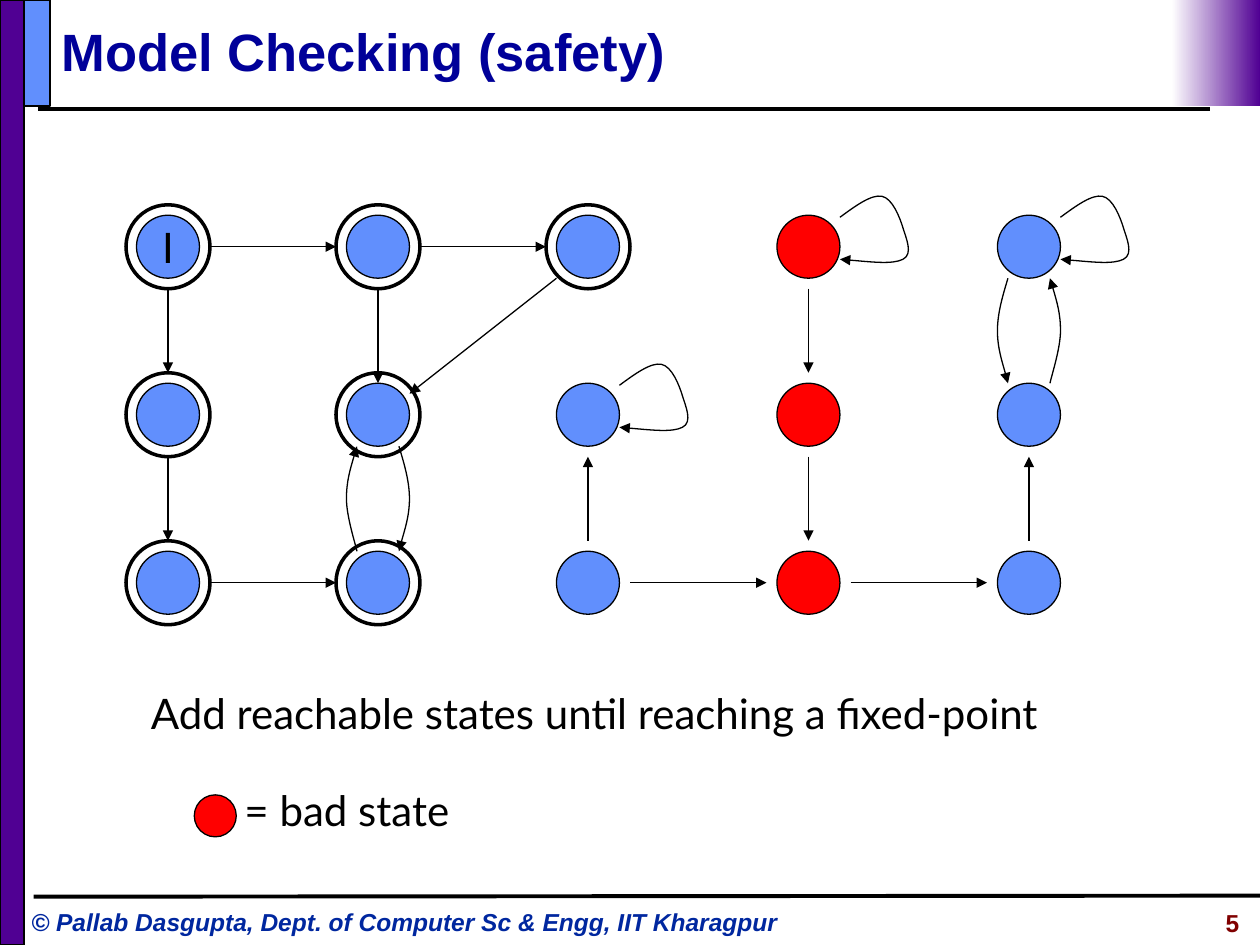
from lxml.etree import SubElement
from pptx import Presentation
from pptx.dml.color import RGBColor
from pptx.enum.shapes import MSO_CONNECTOR, MSO_SHAPE
from pptx.enum.text import MSO_ANCHOR, PP_ALIGN
from pptx.oxml.ns import qn
from pptx.util import Inches, Pt

BLACK = RGBColor(0x00, 0x00, 0x00)
WHITE = RGBColor(0xFF, 0xFF, 0xFF)
PURPLE = RGBColor(0x50, 0x00, 0x93)
BLUE = RGBColor(0x61, 0x8F, 0xFD)
RED = RGBColor(0xFF, 0x00, 0x00)
NAVY = RGBColor(0x00, 0x00, 0x99)
FOOTER_BLUE = RGBColor(0x00, 0x27, 0x9F)
MAROON = RGBColor(0x80, 0x00, 0x00)

# Grid of 120 columns by 90 rows, twelve to the inch
CELL = Inches(1) / 12
COLS = [16, 36, 56, 77, 98]
ROWS = [23.5, 39.5, 55.5]
STATE_R, RING_R = 3, 4

BODY = {"name": "Lato", "size": Pt(24)}
TITLE = {"name": "Arial", "size": Pt(30), "bold": True}
FOOTER = {"name": "Arial", "size": Pt(14), "bold": True, "italic": True}
NUMBER = {"name": "Arial", "size": Pt(14), "bold": True}

# Bezier points relative to the start of each curve
LOOP = [(1.5, -1.1), (3, -2.2), (4, -2), (5, -1.8), (5.7, 0), (6, 1),
        (6.3, 2), (7, 3.5), (6, 4), (5, 4.5), (2.5, 4.2), (0, 4)]
BEND = [(0.5, 1.67), (1, 3.33), (1, 5), (1, 6.67), (0.17, 9.2), (0, 10)]


def grid(*values):
    return [round(v * CELL) for v in values]


class Diagram:
    def __init__(self, slide):
        self.shapes = slide.shapes

    def outline(self, sp, width, end=None):
        sp.line.color.rgb = BLACK
        sp.line.width = Pt(width)
        if end:
            ln = sp._element.spPr.find(qn("a:ln"))
            SubElement(ln, qn(f"a:{end}End"), type="triangle")

    def shape(self, kind, x, y, w, h, fill=None, width=0.75):
        sp = self.shapes.add_shape(kind, *grid(x, y, w, h))
        sp.shadow.inherit = False
        if fill is None:
            sp.fill.background()
        else:
            sp.fill.solid()
            sp.fill.fore_color.rgb = fill
        self.outline(sp, width)
        return sp

    def circle(self, x, y, radius, fill=None, width=0.75):
        return self.shape(MSO_SHAPE.OVAL, x - radius, y - radius,
                          2 * radius, 2 * radius, fill, width)

    def fade(self, x, y, w, h):
        sp = self.shape(MSO_SHAPE.RECTANGLE, x, y, w, h)
        sp.line.fill.background()
        sp.fill.gradient()
        sp.fill.gradient_angle = 0
        for stop, color in zip(sp.fill.gradient_stops, (WHITE, PURPLE)):
            stop.color.rgb = color

    def line(self, x1, y1, x2, y2, width=0.75, end=None):
        sp = self.shapes.add_connector(MSO_CONNECTOR.STRAIGHT,
                                       *grid(x1, y1, x2, y2))
        self.outline(sp, width, end)
        SubElement(sp._element.spPr, qn("a:effectLst"))

    def step(self, start, stop, end_gap=RING_R):
        """Arrow between neighbouring states given as (column, row)."""
        (c1, r1), (c2, r2) = start, stop
        dx, dy = c2 - c1, r2 - r1
        self.line(COLS[c1] + dx * RING_R, ROWS[r1] + dy * RING_R,
                  COLS[c2] - dx * end_gap, ROWS[r2] - dy * end_gap, end="tail")

    def curve(self, x, y, offsets, end="tail", side=1):
        points = [grid(x + side * dx, y + dy) for dx, dy in offsets]
        builder = self.shapes.build_freeform(*grid(x, y), scale=1.0)
        builder.add_line_segments(points, close=False)
        sp = builder.convert_to_shape()
        sp.shadow.inherit = False
        sp.fill.background()
        self.outline(sp, 0.75, end)
        # Turn each three line points into one cubic Bezier segment
        outline = next(sp._element.iter(qn("a:path")))
        segments = outline.findall(qn("a:lnTo"))
        for i in range(0, len(segments), 3):
            cubic = SubElement(outline, qn("a:cubicBezTo"))
            for seg in segments[i:i + 3]:
                cubic.append(seg[0])
                outline.remove(seg)

    def label(self, sp, text, style, color, align=PP_ALIGN.LEFT,
              anchor=MSO_ANCHOR.TOP, wrap=True):
        tf = sp.text_frame
        tf.word_wrap = wrap
        tf.vertical_anchor = anchor
        p = tf.paragraphs[0]
        p.alignment = align
        r = p.add_run()
        r.text = text
        for key, value in style.items():
            setattr(r.font, key, value)
        r.font.color.rgb = color

    def text(self, x, y, w, h, text, style, color, **layout):
        self.label(self.shapes.add_textbox(*grid(x, y, w, h)),
                   text, style, color, **layout)


def main():
    prs = Presentation()
    prs.slide_width, prs.slide_height = Inches(10), Inches(7.5)
    d = Diagram(prs.slides.add_slide(prs.slide_layouts[6]))

    # Frame, title and footer
    d.line(3.6, 10.4, 115.2, 10.4, 2.25)
    d.text(1.8, 85.8, 76.4, 4.1,
           "© Pallab Dasgupta, Dept. of Computer Sc & Engg, IIT Kharagpur",
           FOOTER, FOOTER_BLUE)
    d.shape(MSO_SHAPE.RECTANGLE, 0, 0, 2.3, 90, PURPLE, 1)
    d.line(3.2, 85.4, 120, 85.3, 2.25)
    d.shape(MSO_SHAPE.RECTANGLE, 2.3, 0, 2.5, 10.1, BLUE, 1)
    d.fade(111.6, 0, 8.4, 10.1)
    d.text(4.7, 1.2, 109.2, 7.3, "Model Checking (safety)", TITLE, NAVY,
           anchor=MSO_ANCHOR.MIDDLE)
    d.text(98.2, 85.9, 21, 4.2, "5", NUMBER, MAROON, align=PP_ALIGN.RIGHT)

    # States: the fourth column is bad
    for c, x in enumerate(COLS):
        for r, y in enumerate(ROWS):
            state = d.circle(x, y, STATE_R, RED if c == 3 else BLUE)
            if (c, r) == (0, 0):
                d.label(state, "I", BODY, BLACK, PP_ALIGN.CENTER,
                        MSO_ANCHOR.MIDDLE, wrap=False)

    # Straight transitions
    for start, stop in [((0, 0), (1, 0)), ((1, 0), (2, 0)), ((0, 0), (0, 1)),
                        ((0, 1), (0, 2)), ((0, 2), (1, 2)), ((2, 2), (2, 1)),
                        ((2, 2), (3, 2)), ((3, 0), (3, 1)), ((3, 1), (3, 2)),
                        ((3, 2), (4, 2)), ((4, 2), (4, 1))]:
        d.step(start, stop)
    d.step((1, 0), (1, 1), end_gap=STATE_R)
    d.line(COLS[2] - 3, ROWS[0] + 3, COLS[1] + 3, ROWS[1] - 2, end="tail")

    # Self loops
    for c, r in [(2, 1), (3, 0), (4, 0)]:
        d.curve(COLS[c] + 3, ROWS[r] - 2.8, LOOP)

    # Two-way transitions
    for c, r, side, end in [(1, 1, 1, "tail"), (1, 1, -1, "head"),
                            (4, 0, -1, "tail"), (4, 0, 1, "head")]:
        d.curve(COLS[c] + 2 * side, ROWS[r] + 3, BEND, end, side)

    # Rings around the reachable states
    for c, r in [(0, 0), (1, 0), (2, 0), (0, 1), (1, 1), (0, 2), (1, 2)]:
        d.circle(COLS[c], ROWS[r], RING_R, width=2)

    # Caption and legend
    d.text(13.2, 64.9, 93.4, 6,
           "Add reachable states until reaching a fixed-point", BODY, BLACK)
    d.circle(20.5, 77.7, 2, RED)
    d.text(22.1, 74.1, 23.2, 6, "= bad state", BODY, BLACK)

    prs.save("out.pptx")


if __name__ == "__main__":
    main()
